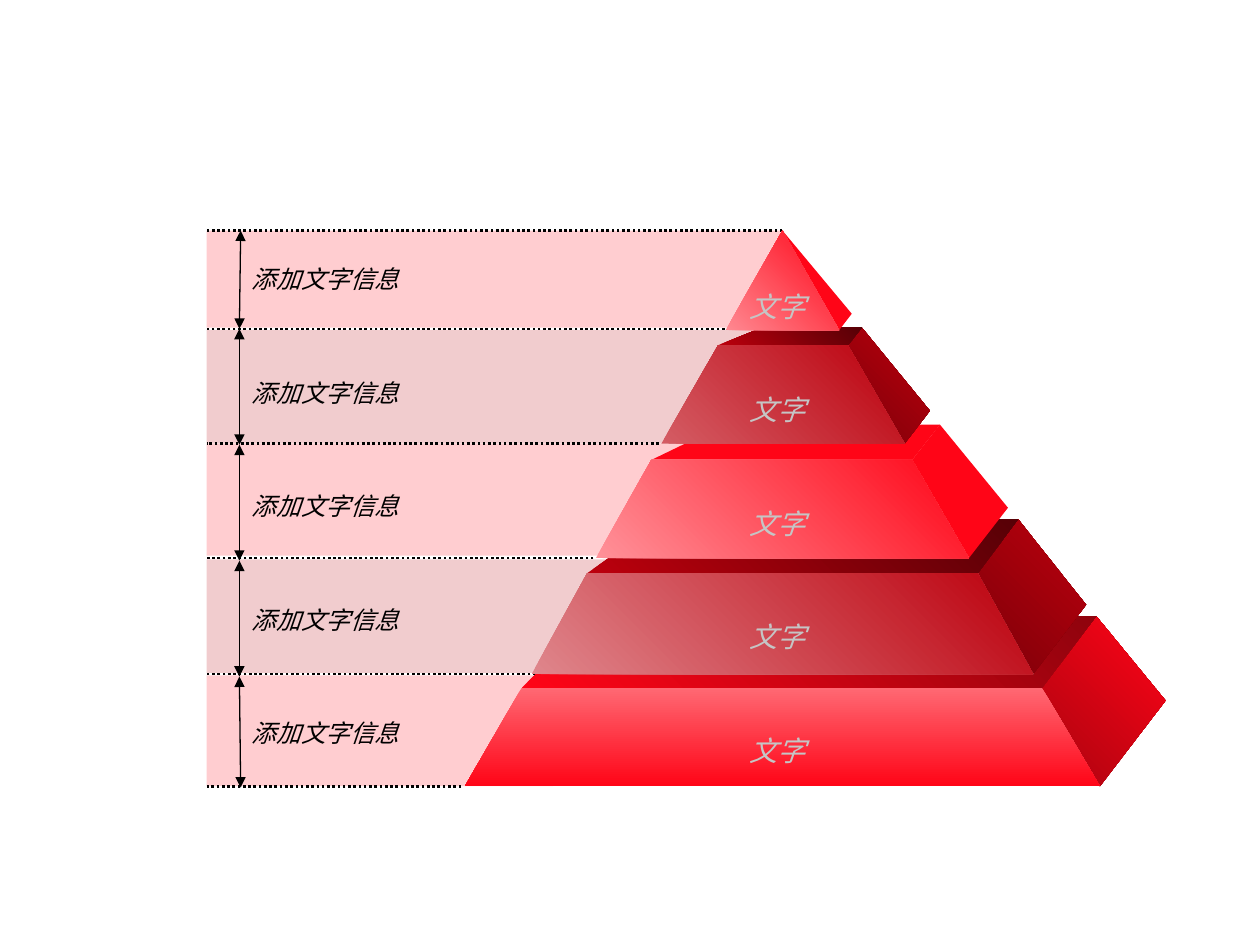
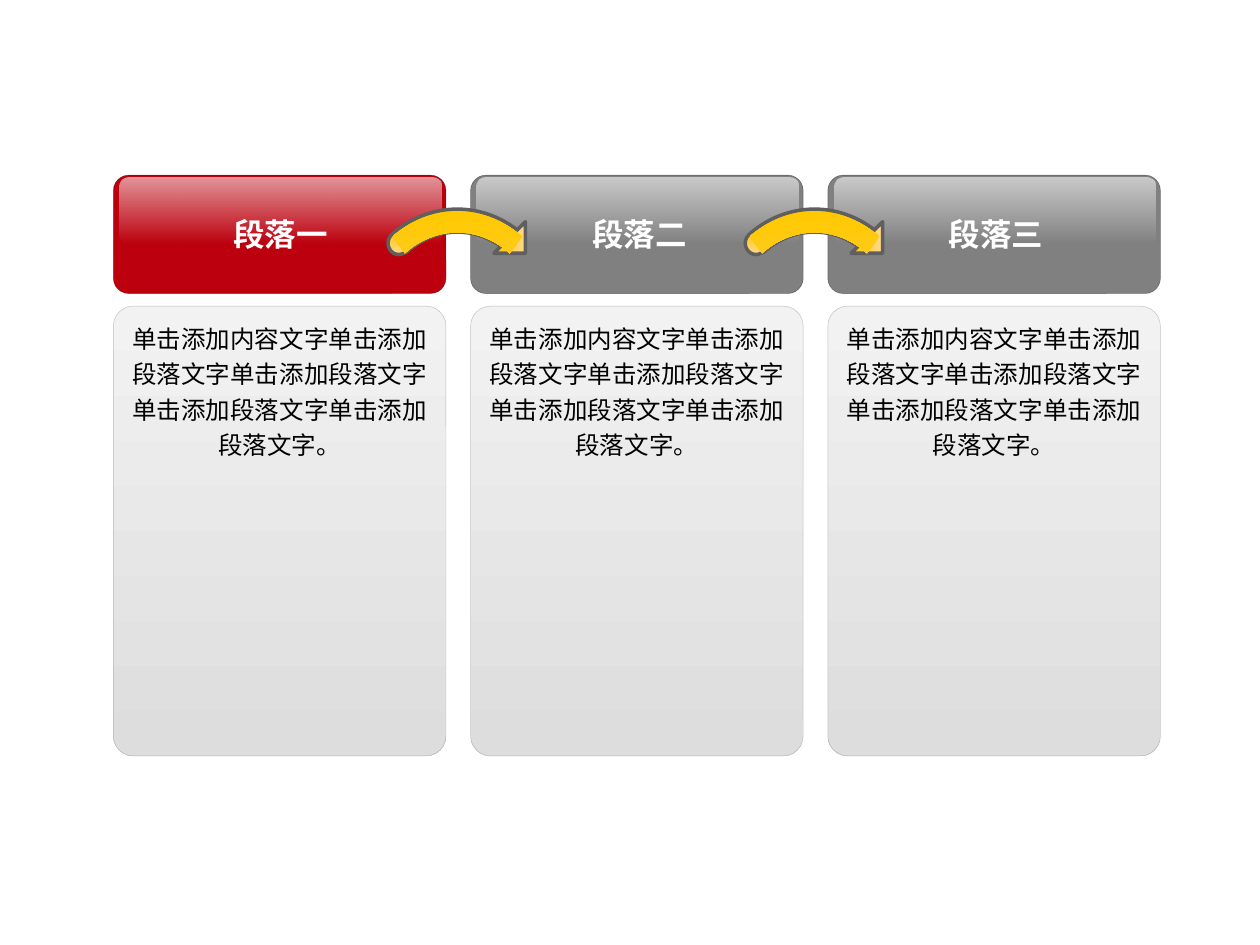
"""Build a layered pyramid slide and a three-step process slide."""
import dataclasses
import itertools
import typing

import lxml.etree
import pptx
import pptx.dml.color
import pptx.enum.dml
import pptx.enum.shapes
import pptx.enum.text
import pptx.oxml.ns
import pptx.util

Inches = pptx.util.Inches
Pt = pptx.util.Pt
Shape = pptx.enum.shapes.MSO_SHAPE
qn = pptx.oxml.ns.qn

COLORS = {
    "red": "FF0517", "crimson": "BC000D", "wine": "7D0009", "maroon": "570006",
    "brick": "AA030F", "garnet": "8F030D", "rose": "FF6873", "dusty": "DF868C",
    "pink": "FF9199", "coral": "D45C64", "blush": "FF8891",
    "black": "000000", "white": "FFFFFF", "silver": "C5C5C5", "gray": "808080",
    "ink": "1C1C1C", "steel": "969696", "slate": "5F5F5F",
    "pale": "F2F2F2", "mist": "DDDDDD", "gold": "FFC800", "sand": "FFD88F",
}
GOLD = ("gold", "sand")
SANS = "Arial"

Point = tuple[float, float]
Paint = typing.Union[str, tuple[str, str]]


class Rect(typing.NamedTuple):
    left: float
    top: float
    width: float
    height: float


class Edge(typing.NamedTuple):
    color: str
    width: float


@dataclasses.dataclass
class Style:
    size: float
    color: str
    name: str = SANS
    bold: bool = False
    slant: bool = False
    space: typing.Optional[float] = None


@dataclasses.dataclass
class Band:
    top: float
    width: float
    height: float
    color: str


@dataclasses.dataclass
class Tier:
    """One pyramid layer: front face, lid behind it and side at its right."""
    top: float
    base: float
    face_top: Point
    face_base: Point
    back: float
    lid: Point
    corner: Point
    face_fill: Paint
    lid_fill: Paint
    side_fill: Paint
    angle: int = 315


@dataclasses.dataclass
class Step:
    title: str
    color: str
    text_left: float
    text_width: float


BANDS = [
    Band(1.83, 4.58, 0.77, "red"),
    Band(2.62, 4.67, 0.9, "crimson"),
    Band(3.52, 4.17, 0.89, "red"),
    Band(4.44, 3.5, 0.9, "crimson"),
    Band(5.36, 2.75, 0.88, "red"),
]
DOTS = [(6.21, 1.83), (5.75, 2.61), (5.23, 3.52), (4.71, 4.43), (4.25, 5.35), (3.66, 6.24)]
STOPS = [(1.91, 1.83), (1.9, 2.61), (1.9, 3.53), (1.9, 4.45), (1.9, 5.37), (1.91, 6.25)]
TIERS = [
    Tier(5.46, 6.24, (4.14, 8.27), (3.69, 8.73), 4.89, (4.72, 8.7), (9.25, 5.56),
         ("rose", "red"), ("red", "garnet"), ("brick", "red"), 90),
    Tier(4.55, 5.35, (4.66, 7.76), (4.22, 8.2), 4.12, (5.27, 8.08), (8.62, 4.8),
         ("dusty", "crimson"), ("crimson", "maroon"), ("wine", "crimson")),
    Tier(3.65, 4.43, (5.17, 7.24), (4.73, 7.69), 3.37, (5.75, 7.46), (8, 4.03),
         ("pink", "red"), "red", "red"),
    Tier(2.74, 3.52, (5.7, 6.73), (5.25, 7.18), 2.6, (6.05, 6.84), (7.38, 3.26),
         ("coral", "crimson"), ("crimson", "maroon"), ("wine", "crimson")),
    Tier(1.83, 2.62, (6.21, 6.21), (5.76, 6.66), 1.83, (6.21, 6.21), (6.76, 2.49),
         ("blush", "red"), "red", "red"),
]
STEPS = [
    Step("段落一", "crimson", 0.9, 2.65),
    Step("段落二", "gray", 3.82, 2.51),
    Step("段落三", "gray", 6.63, 2.55),
]
BODY = "单击添加内容文字" + "单击添加段落文字" * 4 + "。"


def shade(name: str) -> pptx.dml.color.RGBColor:
    return pptx.dml.color.RGBColor.from_string(COLORS[name])


def finish(shape, paint: Paint, angle: int = 90, edge: typing.Optional[Edge] = None,
           alphas: tuple[int, ...] = ()) -> None:
    """Set fill and line; alphas give percents for the colours in that order."""
    shape.shadow.inherit = False
    if isinstance(paint, str):
        shape.fill.solid()
        shape.fill.fore_color.rgb = shade(paint)
    else:
        shape.fill.gradient()
        shape.fill.gradient_angle = 360 - angle
        for stop, name in zip(shape.fill.gradient_stops, paint):
            stop.color.rgb = shade(name)
    if edge:
        shape.line.color.rgb = shade(edge.color)
        shape.line.width = Pt(edge.width)
    else:
        shape.line.fill.background()
    for node, alpha in zip(list(shape._element.spPr.iter(qn("a:srgbClr"))), alphas):
        lxml.etree.SubElement(node, qn("a:alpha"), val=str(alpha * 1000))


def place(shapes, kind, rect: Rect, paint: Paint, edge: typing.Optional[Edge] = None,
          alphas: tuple[int, ...] = (), adjust: tuple[float, ...] = (), turn: int = 0):
    shape = shapes.add_shape(kind, *map(Inches, rect))
    for index, value in enumerate(adjust):
        shape.adjustments[index] = value
    shape.rotation = turn
    finish(shape, paint, edge=edge, alphas=alphas)
    return shape


def outline(shapes, points: list[Point], paint: Paint, angle: int) -> None:
    first, *rest = [(Inches(x), Inches(y)) for x, y in points]
    pen = shapes.build_freeform(*first)
    pen.add_line_segments(rest, close=True)
    finish(pen.convert_to_shape(), paint, angle)


def link(shapes, start: Point, end: Point, width: float, dotted: bool = False) -> None:
    line = shapes.add_connector(pptx.enum.shapes.MSO_CONNECTOR.STRAIGHT,
                                *map(Inches, start + end))
    line.line.color.rgb = shade("black")
    line.line.width = Pt(width)
    if dotted:
        line.line.dash_style = pptx.enum.dml.MSO_LINE.ROUND_DOT
    else:
        for tag in ("a:headEnd", "a:tailEnd"):
            lxml.etree.SubElement(line.line._ln, qn(tag), type="triangle")
    lxml.etree.SubElement(line._element.spPr, qn("a:effectLst"))


def write(frame, text: str, style: Style) -> None:
    para = frame.paragraphs[0]
    para.alignment = pptx.enum.text.PP_ALIGN.CENTER
    if style.space:
        para.line_spacing = style.space
    run = para.add_run()
    run.text = text
    run.font.name = style.name
    run.font.size = Pt(style.size)
    run.font.bold = style.bold
    run.font.italic = style.slant
    run.font.color.rgb = shade(style.color)


def label(shapes, rect: Rect, text: str, style: Style, wrap: bool = True) -> None:
    frame = shapes.add_textbox(*map(Inches, rect)).text_frame
    frame.word_wrap = wrap
    frame.auto_size = pptx.enum.text.MSO_AUTO_SIZE.SHAPE_TO_FIT_TEXT
    write(frame, text, style)


def draw_tier(shapes, tier: Tier) -> None:
    (left, right), (low_left, low_right) = tier.face_top, tier.face_base
    front = [(left, tier.top), (right, tier.top)]
    rear = (tier.lid[1], tier.back)
    foot = (low_right, tier.base)
    outline(shapes, [front[1], rear, tier.corner, foot], tier.side_fill, tier.angle if tier.angle != 90 else 315)
    if tier.back < tier.top:
        outline(shapes, front + [rear, (tier.lid[0], tier.back)], tier.lid_fill, 315)
    outline(shapes, front + [foot, (low_left, tier.base)], tier.face_fill, tier.angle)


def draw_layers(slide) -> None:
    shapes = slide.shapes
    left = 1.64
    for band in BANDS:
        place(shapes, Shape.RECTANGLE, Rect(left, band.top, band.width, band.height),
              band.color, alphas=(20,))
    for right, level in DOTS:
        link(shapes, (right, level), (left, level), 1.5, dotted=True)
    for start, end in itertools.pairwise(STOPS):
        link(shapes, start, end, 0.75)
    note = Style(14, "black", "DejaVu Sans", slant=True)
    for row in range(len(BANDS)):
        label(shapes, Rect(1.9, 2.05 + 0.9 * row, 1.37, 0.33), "添加文字信息", note, wrap=False)
    for tier in TIERS:
        draw_tier(shapes, tier)
    word = Style(16, "silver", slant=True)
    label(shapes, Rect(5.75, 2.25, 0.84, 0.37), "文字", word)
    for row in range(len(TIERS) - 1):
        label(shapes, Rect(5.42, 3.07 + 0.9 * row, 1.5, 0.37), "文字", word)


def draw_head(slide, step: Step, left: float) -> None:
    shapes = slide.shapes.add_group_shape().shapes
    place(shapes, Shape.ROUNDED_RECTANGLE, Rect(left, 1.39, 2.64, 0.94), step.color,
          Edge("ink", 0.25), (100, 50), (0.13,))
    place(shapes, Shape.ROUNDED_RECTANGLE, Rect(left + 0.05, 1.41, 2.55, 0.52),
          ("white", "white"), alphas=(0, 59), adjust=(0.13,), turn=180)
    label(shapes, Rect(step.text_left, 1.66, step.text_width, 0.4), step.title,
          Style(18, "white", bold=True))


def draw_arrow(slide, left: float) -> None:
    """Draw a curved arrow: outlined arc, head and round tail, then a plain arc on top."""
    shapes = slide.shapes.add_group_shape().shapes
    edge = Edge("slate", 2)
    sweep = (234.5 * 0.6, 305.5 * 0.6)
    place(shapes, Shape.BLOCK_ARC, Rect(left, 1.66, 1.66, 1.83), GOLD, edge,
          adjust=sweep + (0.11,))
    place(shapes, Shape.RIGHT_TRIANGLE, Rect(left + 1.12, 1.76, 0.25, 0.25), GOLD, edge, turn=270)
    place(shapes, Shape.OVAL, Rect(left + 0.28, 1.84, 0.17, 0.18), GOLD, edge)
    place(shapes, Shape.BLOCK_ARC, Rect(left, 1.68, 1.66, 1.83), GOLD,
          adjust=sweep + (0.1,))


def draw_card(slide, left: float) -> None:
    card = place(slide.shapes, Shape.ROUNDED_RECTANGLE, Rect(left, 2.43, 2.64, 3.57),
                 ("pale", "mist"), Edge("steel", 0.25), (100, 100, 59), (0.06,))
    card.text_frame.word_wrap = True
    card.text_frame.vertical_anchor = pptx.enum.text.MSO_ANCHOR.TOP
    write(card.text_frame, BODY, Style(14, "black", space=1.2))


def draw_steps(slide) -> None:
    pitch = (6.57 - 0.9) / 2
    lefts = [0.9 + pitch * index for index in range(len(STEPS))]
    for step, left in zip(STEPS, lefts):
        draw_head(slide, step, left)
    for left in lefts[:-1]:
        draw_arrow(slide, left + 1.9)
    for left in lefts:
        draw_card(slide, left)


def main() -> None:
    deck = pptx.Presentation()
    deck.slide_width, deck.slide_height = Inches(10), Inches(7.5)
    for draw in (draw_layers, draw_steps):
        draw(deck.slides.add_slide(deck.slide_layouts[6]))
    deck.save("out.pptx")


if __name__ == "__main__":
    main()
